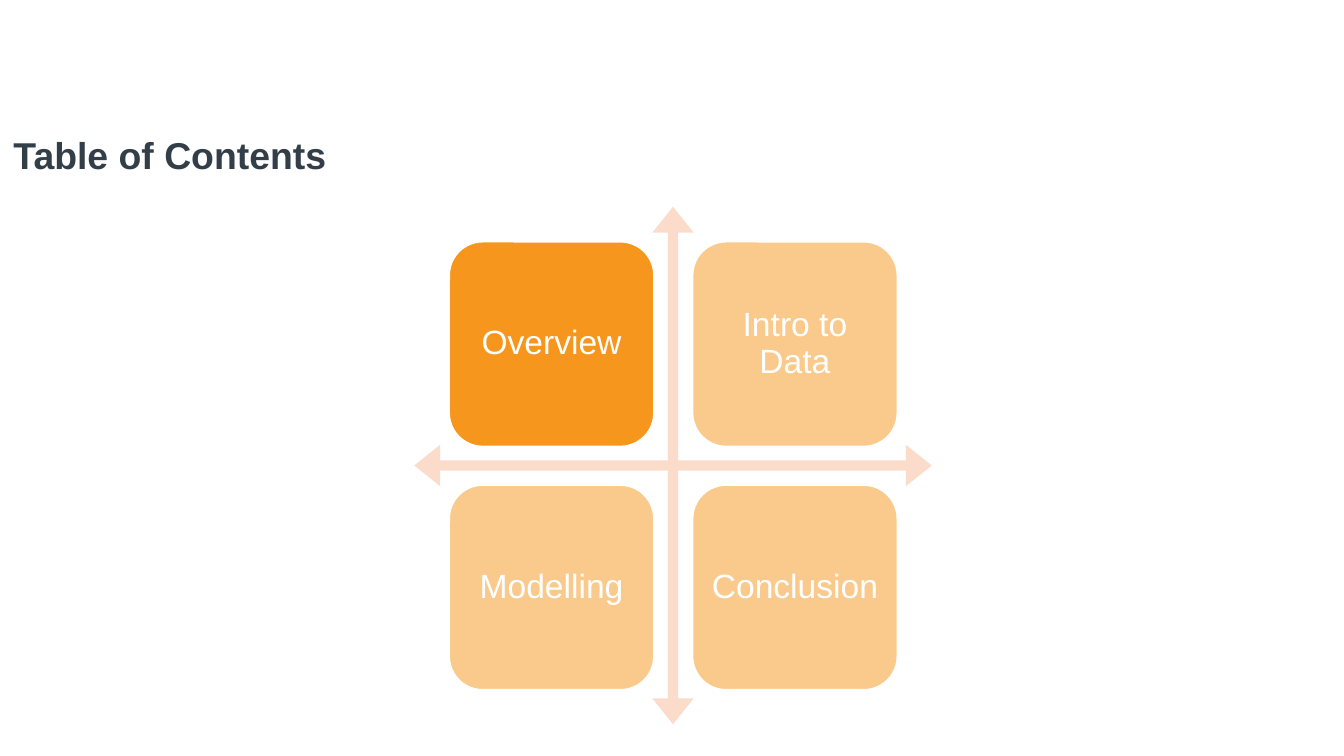
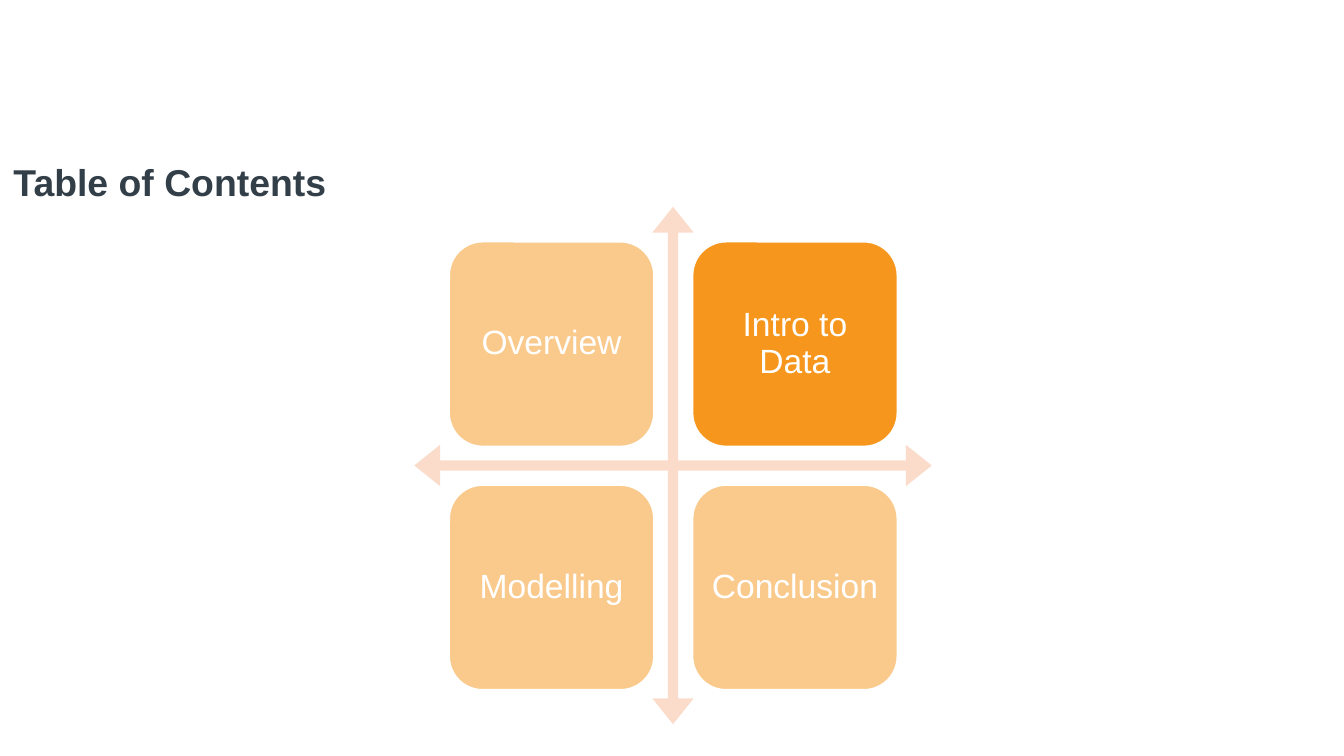
"""Build two table-of-contents slides, each highlighting its current section."""
from dataclasses import dataclass

from lxml import etree
from pptx import Presentation
from pptx import util as u
from pptx.dml.color import RGBColor
from pptx.enum import shapes, text
from pptx.oxml.ns import qn

FONT = "Arial"
INK, ORANGE, PEACH, WHITE = "333F48", "F7961C", "FBDCCA", "FFFFFF"
SECTIONS = ("Overview", "Intro to Data", "Modelling", "Conclusion")
CARD_LEFT, CARD_TOP, CARD_SIZE, CARD_PITCH = 8.47, 4.55, 3.91, 4.6


@dataclass(frozen=True)
class Contents:
    title_top: float
    current: str


@dataclass(frozen=True)
class Card:
    label: str
    left: float
    top: float
    active: bool


SLIDES = (Contents(1.73, "Overview"), Contents(2.24, "Intro to Data"))


def rgb(value: str) -> RGBColor:
    return RGBColor.from_string(value)


def style_text(tf, size: int, color: str, align, bold: bool = False) -> None:
    tf.word_wrap = True
    tf.auto_size = text.MSO_AUTO_SIZE.NONE
    tf.vertical_anchor = text.MSO_ANCHOR.MIDDLE
    p = tf.paragraphs[0]
    p.alignment = align
    p.font.name = FONT
    p.font.size = u.Pt(size)
    p.font.bold = bold
    p.font.color.rgb = rgb(color)


def fill_shape(sp, color: str, opacity: int = 100) -> None:
    sp.shadow.inherit = False
    sp.fill.solid()
    sp.fill.fore_color.rgb = rgb(color)
    if opacity < 100:
        clr = sp.fill._xPr.find(f"{qn('a:solidFill')}/{qn('a:srgbClr')}")
        etree.SubElement(clr, qn("a:alpha")).set("val", str(opacity * 1000))


def add_title(s, top: float) -> None:
    sp = s.shapes.title
    sp.left, sp.top = u.Cm(0), u.Cm(top)
    sp.width, sp.height = u.Cm(22.86), u.Cm(2.39)
    sp.text_frame.text = "Table of Contents"
    style_text(sp.text_frame, 20, INK, text.PP_ALIGN.LEFT, bold=True)


def add_axes(group) -> None:
    sp = group.shapes.add_shape(shapes.MSO_SHAPE.QUAD_ARROW,
                                u.Cm(7.83), u.Cm(3.91), u.Cm(9.78), u.Cm(9.78))
    for i, value in enumerate((0.02, 0.04, 0.05)):
        sp.adjustments[i] = value
    fill_shape(sp, PEACH)
    sp.line.fill.background()


def add_card(group, card: Card) -> None:
    sp = group.shapes.add_shape(shapes.MSO_SHAPE.ROUNDED_RECTANGLE,
                                u.Cm(card.left), u.Cm(card.top),
                                u.Cm(CARD_SIZE), u.Cm(CARD_SIZE))
    sp.adjustments[0] = 0.167
    fill_shape(sp, ORANGE, 100 if card.active else 50)
    sp.line.color.rgb = rgb(WHITE)
    sp.line.width = u.Pt(2)
    tf = sp.text_frame
    tf.text = card.label
    tf.margin_left = tf.margin_right = tf.margin_top = tf.margin_bottom = u.Cm(0.17)
    style_text(tf, 18, WHITE, text.PP_ALIGN.CENTER)
    tf.paragraphs[0].line_spacing = 0.9


def add_contents(prs, contents: Contents) -> None:
    s = prs.slides.add_slide(prs.slide_layouts[5])
    add_title(s, contents.title_top)
    group = s.shapes.add_group_shape()
    add_axes(group)
    for i, label in enumerate(SECTIONS):
        row, col = divmod(i, 2)
        add_card(group, Card(label, CARD_LEFT + col * CARD_PITCH,
                             CARD_TOP + row * CARD_PITCH, label == contents.current))


def main() -> None:
    prs = Presentation()
    prs.slide_width, prs.slide_height = u.Cm(25.4), u.Cm(14.29)
    for contents in SLIDES:
        add_contents(prs, contents)
    prs.save("out.pptx")


if __name__ == "__main__":
    main()
